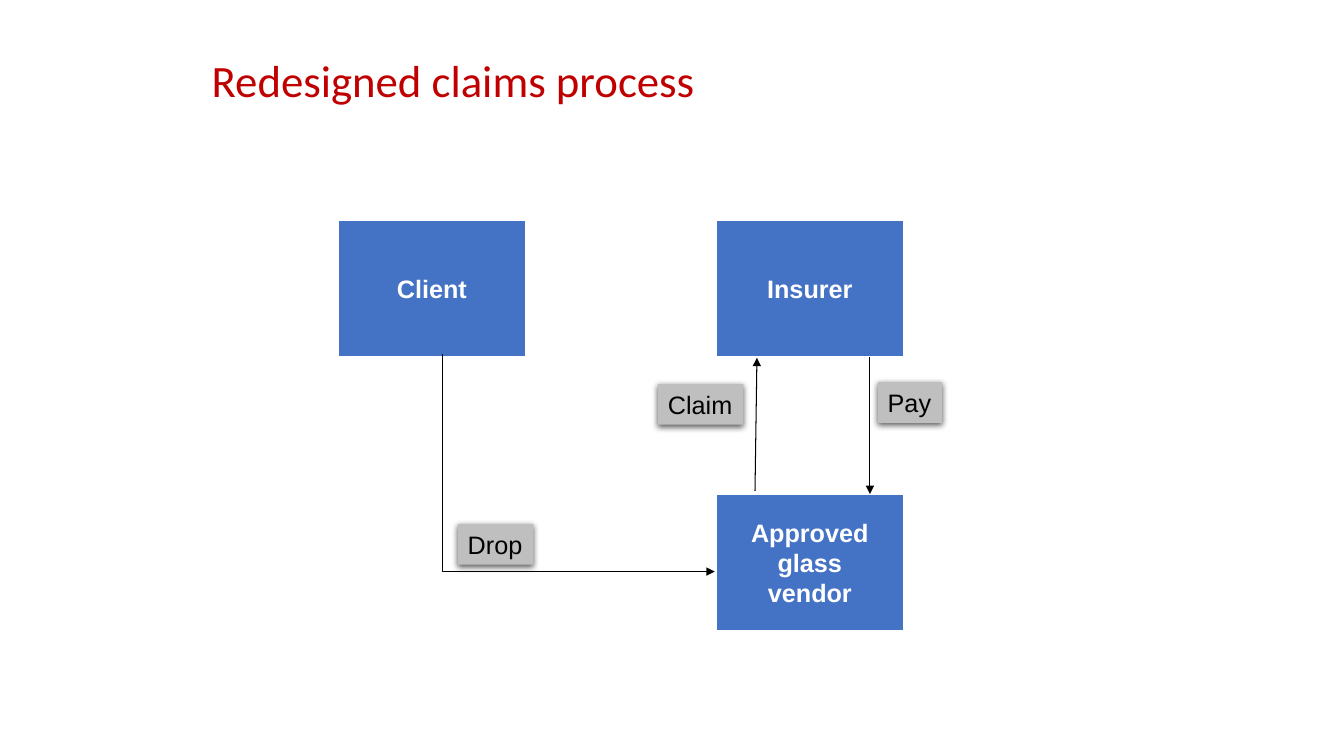
from lxml.etree import SubElement
from pptx import Presentation
from pptx.dml.color import RGBColor
from pptx.enum.shapes import MSO_CONNECTOR as CONNECTOR, MSO_SHAPE as SHAPE
from pptx.enum.text import MSO_ANCHOR as ANCHOR, MSO_AUTO_SIZE as AUTO_SIZE, PP_ALIGN as ALIGN
from pptx.oxml.ns import qn
from pptx.util import Pt

RED = RGBColor(0xC0, 0x00, 0x00)
BLUE = RGBColor(0x44, 0x72, 0xC4)
GREY = RGBColor(0xBF, 0xBF, 0xBF)
WHITE = RGBColor(0xFF, 0xFF, 0xFF)
BLACK = RGBColor(0x00, 0x00, 0x00)

TITLE = "Redesigned claims process"
# Lines of text, column, row
PARTIES = [
    (["Client"], 0, 0),
    (["Insurer"], 1, 0),
    (["Approved", "glass", "vendor"], 1, 1),
]
# Text, left, top, width
STEPS = [
    ("Drop", 327, 374.4, 54),
    ("Pay", 627, 273, 46),
    ("Claim", 470, 274.4, 61),
]
# Start and end of each straight arrow
CLAIM_ARROW = (539.3, 350.6, 540.7, 255.6)
PAY_ARROW = (621.4, 255, 621.4, 352.8)
DROP_ROUTE = [(316, 252.8), (316, 408.3), (510.5, 408.3)]

COLUMN_LEFT, COLUMN_STEP = 241.2, 270
ROW_TOP, ROW_STEP = 157, 195.8
PARTY_W, PARTY_H = 134.6, 97.9
STEP_H = 29


def add_words(paragraph, words, size, color, font="Arial", bold=False):
    run = paragraph.add_run()
    run.text = words
    run.font.name = font
    run.font.size = Pt(size)
    run.font.bold = bold
    run.font.color.rgb = color


def add_box(slide, lines, place, fill, color, align, bold=False):
    box = slide.shapes.add_shape(SHAPE.RECTANGLE, *map(Pt, place))
    box.fill.solid()
    box.fill.fore_color.rgb = fill
    box.shadow.inherit = False
    frame = box.text_frame
    frame.word_wrap = False
    frame.vertical_anchor = ANCHOR.MIDDLE
    for i, words in enumerate(lines):
        paragraph = frame.add_paragraph() if i else frame.paragraphs[0]
        paragraph.alignment = align
        add_words(paragraph, words, 18, color, bold=bold)
    return box


def add_party(slide, lines, column, row):
    place = (COLUMN_LEFT + column * COLUMN_STEP, ROW_TOP + row * ROW_STEP, PARTY_W, PARTY_H)
    party = add_box(slide, lines, place, BLUE, WHITE, ALIGN.CENTER, bold=True)
    party.line.color.rgb = WHITE
    party.line.width = Pt(1.5)


def add_step(slide, words, left, top, width):
    step = add_box(slide, [words], (left, top, width, STEP_H), GREY, BLACK, ALIGN.LEFT)
    step.line.fill.background()
    step.text_frame.vertical_anchor = ANCHOR.TOP
    step.text_frame.auto_size = AUTO_SIZE.SHAPE_TO_FIT_TEXT
    effects = step._element.spPr.find(qn("a:effectLst"))
    shadow = SubElement(effects, qn("a:outerShdw"), blurRad=str(Pt(4.5)), dist=str(Pt(1.5)),
                        dir="5400000", algn="ctr", rotWithShape="0")
    shade = SubElement(shadow, qn("a:srgbClr"), val=str(BLACK))
    SubElement(shade, qn("a:alpha"), val="63000")


def style_arrow(arrow):
    """Thin black line with a triangle at its end."""
    arrow.line.color.rgb = BLACK
    arrow.line.width = Pt(0.75)
    properties = arrow._element.spPr
    SubElement(properties.find(qn("a:ln")), qn("a:tailEnd"), type="triangle")
    SubElement(properties, qn("a:effectLst"))


def add_straight_arrow(slide, ends):
    style_arrow(slide.shapes.add_connector(CONNECTOR.STRAIGHT, *map(Pt, ends)))


def add_route(slide, points):
    start, *rest = [(Pt(x), Pt(y)) for x, y in points]
    builder = slide.shapes.build_freeform(*start)
    builder.add_line_segments(rest, close=False)
    route = builder.convert_to_shape()
    route.fill.background()
    style_arrow(route)


def main():
    deck = Presentation()
    deck.slide_width, deck.slide_height = Pt(960), Pt(540)
    slide = deck.slides.add_slide(deck.slide_layouts[5])

    title = slide.shapes.title
    title.left, title.top, title.width, title.height = map(Pt, (144, 18, 672, 78))
    title.text_frame.vertical_anchor = ANCHOR.MIDDLE
    heading = title.text_frame.paragraphs[0]
    heading.alignment = ALIGN.LEFT
    add_words(heading, TITLE, 32, RED, font="Calibri")

    for party in PARTIES:
        add_party(slide, *party)
    for ends in (CLAIM_ARROW, PAY_ARROW):
        add_straight_arrow(slide, ends)
    for step in STEPS:
        add_step(slide, *step)
    add_route(slide, DROP_ROUTE)

    deck.save("out.pptx")


if __name__ == "__main__":
    main()
